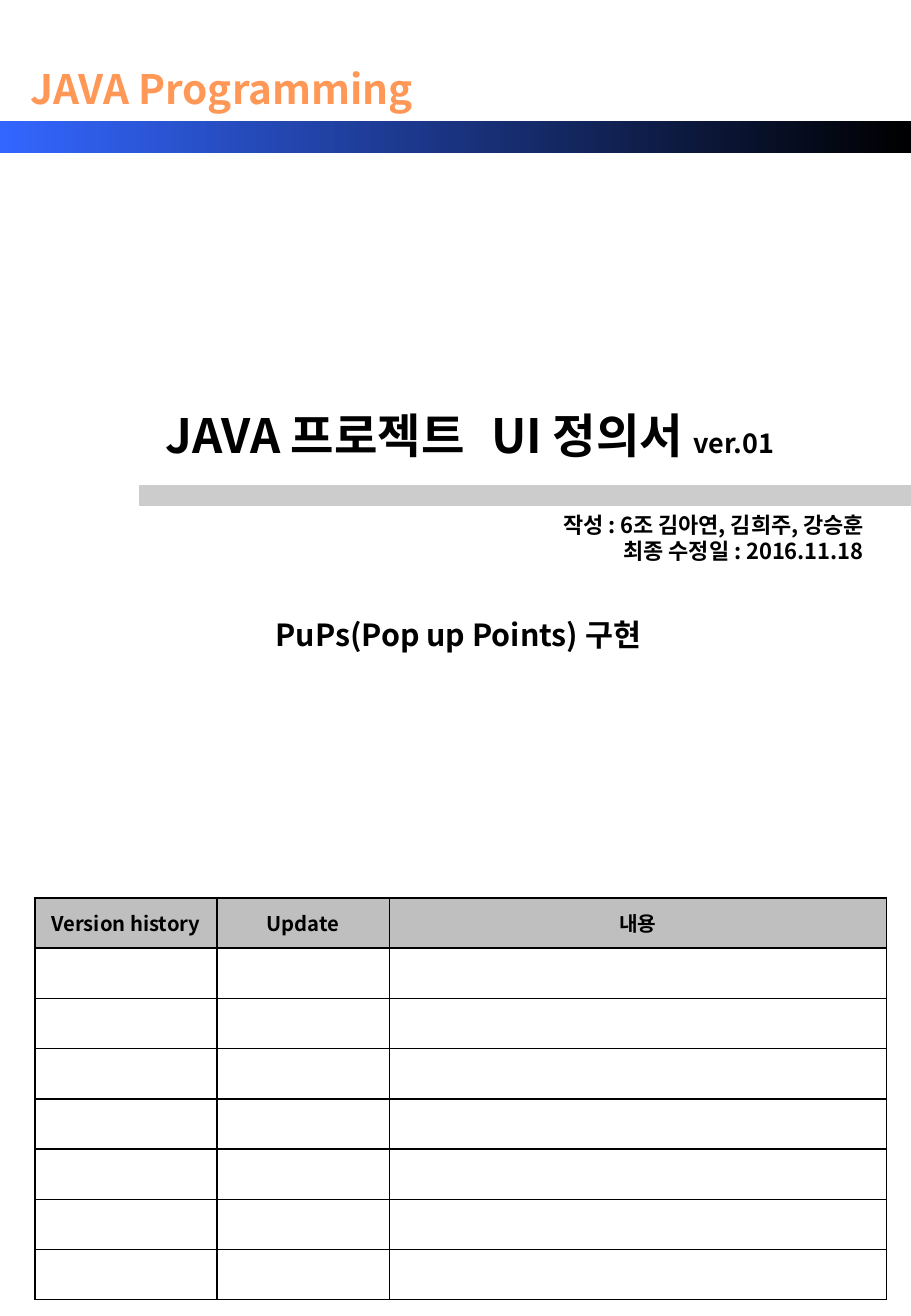
"""Build the cover page of a Java project UI definition document."""
import pptx
import pptx.util
import pptx.oxml
import pptx.oxml.ns
import pptx.dml.color
import pptx.enum.shapes
import pptx.enum.text
import lxml.etree

Cm = pptx.util.Cm
Pt = pptx.util.Pt
ALIGN = pptx.enum.text.PP_ALIGN
RECTANGLE = pptx.enum.shapes.MSO_SHAPE.RECTANGLE
FONT = "Noto Sans CJK KR"
COLORS = {
    name: pptx.dml.color.RGBColor.from_string(value)
    for name, value in {
        "black": "000000", "white": "FFFFFF", "blue": "3366FF",
        "orange": "FF9856", "rule": "CCCCCC", "header": "BFBFBF",
    }.items()
}


def format_paragraph(paragraph, size, color="black", alignment=ALIGN.CENTER):
    paragraph.alignment = alignment
    font = paragraph.font
    font.name, font.size, font.bold = FONT, Pt(size), True
    font.color.rgb = COLORS[color]
    east_asian = lxml.etree.SubElement(font._element, pptx.oxml.ns.qn("a:ea"))
    east_asian.set("typeface", FONT)


def add_text(left, top, width, height, lines, size, color="black", alignment=ALIGN.CENTER):
    box = slide.shapes.add_textbox(Cm(left), Cm(top), Cm(width), Cm(height))
    frame = box.text_frame
    frame.word_wrap = True
    frame.text = "\n".join(lines)
    for paragraph in frame.paragraphs:
        format_paragraph(paragraph, size, color, alignment)
    return frame


presentation = pptx.Presentation()
presentation.slide_width = Cm(19.05)
presentation.slide_height = Cm(27.51)
slide = presentation.slides.add_slide(presentation.slide_layouts[6])

banner = slide.shapes.add_shape(RECTANGLE, 0, Cm(2.52), Cm(19.05), Cm(0.68))
banner.shadow.inherit = False
banner.line.fill.background()
banner.fill.gradient()
banner.fill.gradient_angle = 0
for stop, position, color in zip(banner.fill.gradient_stops, (0, 1), ("blue", "black")):
    stop.position = position
    stop.color.rgb = COLORS[color]

add_text(0.36, 1.22, 8.56, 1.27, ["JAVA Programming"], 24, "orange")

title = add_text(0.83, 8.36, 18, 3.2, ["JAVA 프로젝트"], 28).paragraphs[0]
gap = title.add_run()
gap.text = " "
gap.font._element.set("spc", "950")
title.add_run().text = "UI 정의서 "
version = title.add_run()
version.text = "ver.01"
version.font.size = Pt(16)

add_text(2.92, 12.75, 13.34, 2.21, ["PuPs(Pop up Points) 구현"], 18)

rule = slide.shapes.add_shape(RECTANGLE, Cm(2.92), Cm(10.16), Cm(16.13), Cm(0.41))
rule.shadow.inherit = False
rule.fill.solid()
rule.fill.fore_color.rgb = COLORS["rule"]
rule.line.color.rgb = COLORS["rule"]
rule.line.width = Pt(0.75)

headings = ["Version history", "Update", "내용"]
column_widths = [3.81, 3.6, 10.4]
row_count, row_height = 8, 1.05
table = slide.shapes.add_table(
    row_count, len(headings), Cm(0.73), Cm(18.77),
    Cm(sum(column_widths)), Cm(row_count * row_height),
).table
for column, width in zip(table.columns, column_widths):
    column.width = Cm(width)
for row_index, row in enumerate(table.rows):
    row.height = Cm(row_height)
    for cell, heading in zip(row.cells, headings):
        is_header = row_index == 0
        cell.text = heading if is_header else ""
        cell.vertical_anchor = pptx.enum.text.MSO_ANCHOR.MIDDLE
        cell.margin_top = cell.margin_bottom = 0
        format_paragraph(cell.text_frame.paragraphs[0], 12)
        properties = cell._tc.get_or_add_tcPr()
        for side in ("lnL", "lnR", "lnT", "lnB"):
            properties.append(pptx.oxml.parse_xml(
                f'<a:{side} {pptx.oxml.ns.nsdecls("a")} w="{Pt(1)}"><a:solidFill>'
                f'<a:srgbClr val="{COLORS["black"]}"/></a:solidFill></a:{side}>'
            ))
        cell.fill.solid()
        cell.fill.fore_color.rgb = COLORS["header" if is_header else "white"]

add_text(
    6.1, 10.57, 12.21, 1.6,
    ["작성 : 6조 김아연, 김희주, 강승훈", "최종 수정일 : 2016.11.18"],
    13, alignment=ALIGN.RIGHT,
)

presentation.save("out.pptx")
